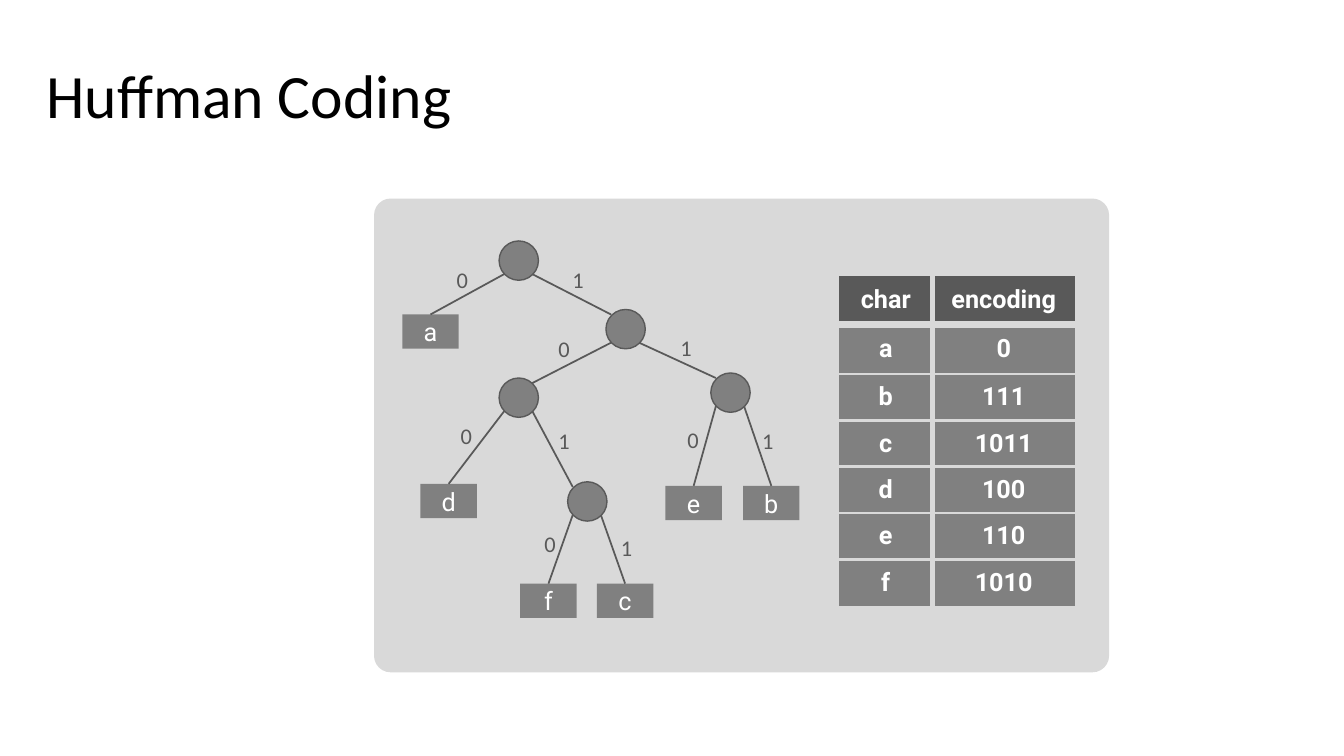
from lxml.etree import SubElement
from pptx import Presentation
from pptx.dml.color import RGBColor
from pptx.enum.shapes import MSO_CONNECTOR, MSO_SHAPE
from pptx.enum.text import MSO_ANCHOR, MSO_AUTO_SIZE, PP_ALIGN
from pptx.oxml.ns import qn
from pptx.util import Emu, Pt

EMU_PER_PX = 9144
COLOURS = {"panel": "D9D9D9", "node": "808080", "dark": "595959",
           "light": "FFFFFF", "title": "000000"}
FORMATS = {
    "title": {"name": "Calibri", "size": Pt(44), "bold": False},
    "table": {"name": "Roboto", "size": Pt(18), "bold": True},
    "leaf": {"name": "Roboto", "size": Pt(18), "bold": False},
    "bit": {"name": "Calibri", "size": Pt(16), "bold": False},
}
FRAME = {"word_wrap": True, "auto_size": MSO_AUTO_SIZE.NONE}

NODE_SIZE, CORNER = 39, 14
LEAF_WIDTH, LEAF_HEIGHT = 56, 34
INNER_NODES = {"root": (514, 258), "1": (620, 326), "10": (514, 394),
               "11": (724, 389), "101": (582, 497)}
LEAVES = {"a": (427, 312), "d": (445, 480), "f": (544, 579),
          "e": (688, 482), "b": (765, 482), "c": (620, 579)}
BRANCHES = [
    ("root", "0", "a", (443, 259)), ("root", "1", "1", (558, 259)),
    ("1", "0", "10", (544, 328)), ("1", "1", "11", (665, 327)),
    ("10", "0", "d", (447, 414)), ("10", "1", "101", (544, 419)),
    ("11", "0", "e", (672, 418)), ("11", "1", "b", (746, 419)),
    ("101", "0", "f", (530, 521)), ("101", "1", "c", (606, 525)),
]
ENCODINGS = [("char", "encoding"), ("a", "0"), ("b", "111"), ("c", "1011"),
             ("d", "100"), ("e", "110"), ("f", "1010")]
COLUMN_WIDTHS = [93, 141]
ROW_HEIGHTS = [48, 49] + [46] * 5
COLUMN_GAP, HEADER_GAP, ROW_GAP = 5, 7, 3


def px(*lengths):
    return [Emu(length * EMU_PER_PX) for length in lengths]


def colour(key):
    return RGBColor.from_string(COLOURS[key])


class TreeSlide:
    def __init__(self, deck):
        self.slide = deck.slides.add_slide(deck.slide_layouts[5])
        self.shapes = self.slide.shapes

    def label(self, frame, text, style, ink, align=PP_ALIGN.CENTER):
        frame.text = text
        paragraph = frame.paragraphs[0]
        paragraph.alignment = align
        font = paragraph.runs[0].font
        for attribute, value in FORMATS[style].items():
            setattr(font, attribute, value)
        font.color.rgb = colour(ink)
        return paragraph

    def title(self, text, *box):
        heading = self.shapes.title
        for attribute, value in zip(("left", "top", "width", "height"), px(*box)):
            setattr(heading, attribute, value)
        paragraph = self.label(heading.text_frame, text, "title", "title", PP_ALIGN.LEFT)
        paragraph.line_spacing = 0.9
        for attribute, value in FRAME.items():
            setattr(heading.text_frame, attribute, value)
        heading.text_frame.vertical_anchor = MSO_ANCHOR.MIDDLE

    def block(self, preset, box, fill, outline=None):
        block = self.shapes.add_shape(preset, *px(*box))
        block.shadow.inherit = False
        block.fill.solid()
        block.fill.fore_color.rgb = colour(fill)
        if outline:
            block.line.color.rgb = colour(outline)
            block.line.width = Pt(1)
        else:
            block.line.fill.background()
        return block

    def node(self, x, y):
        half = NODE_SIZE // 2
        self.block(MSO_SHAPE.OVAL, (x - half, y - half, NODE_SIZE, NODE_SIZE),
                   "node", "dark")

    def leaf(self, text, x, y):
        leaf = self.block(MSO_SHAPE.RECTANGLE,
                          (x - LEAF_WIDTH // 2, y, LEAF_WIDTH, LEAF_HEIGHT), "node")
        leaf.text_frame.vertical_anchor = MSO_ANCHOR.MIDDLE
        self.label(leaf.text_frame, text, "leaf", "light")

    def branch(self, parent, bit, child):
        side = CORNER if bit == "1" else -CORNER
        x, y = INNER_NODES[parent]
        if child in LEAVES:
            end = LEAVES[child]
        else:
            child_x, child_y = INNER_NODES[child]
            end = child_x - side, child_y - CORNER
        line = self.shapes.add_connector(
            MSO_CONNECTOR.STRAIGHT, *px(x + side, y + CORNER, *end))
        line.line.color.rgb = colour("dark")
        line.line.width = Pt(1.25)
        SubElement(line._element.spPr, qn("a:effectLst"))

    def bit(self, text, x, y):
        frame = self.shapes.add_textbox(*px(x, y, 33, 37)).text_frame
        for attribute, value in FRAME.items():
            setattr(frame, attribute, value)
        self.label(frame, text, "bit", "dark", PP_ALIGN.LEFT)

    def borders(self, cell, gaps):
        properties = cell._tc.get_or_add_tcPr()
        for position, (edge, gap) in enumerate(gaps.items()):
            border = SubElement(properties, qn(f"a:{edge}"), w=str(gap * EMU_PER_PX))
            if gap:
                fill = SubElement(border, qn("a:solidFill"))
                SubElement(fill, qn("a:srgbClr"), val=COLOURS["panel"])
            else:
                SubElement(border, qn("a:noFill"))
            properties.insert(position, border)

    def table(self, rows, left, top):
        size = sum(COLUMN_WIDTHS), sum(ROW_HEIGHTS)
        table = self.shapes.add_table(
            len(rows), len(COLUMN_WIDTHS), *px(left, top, *size)).table
        table.first_row = table.horz_banding = False
        for column, width in zip(table.columns, px(*COLUMN_WIDTHS)):
            column.width = width
        for row, height in zip(table.rows, px(*ROW_HEIGHTS)):
            row.height = height
        row_gaps = [0, HEADER_GAP] + [ROW_GAP] * (len(rows) - 2) + [0]
        column_gaps = [0, COLUMN_GAP, 0]
        for r, values in enumerate(rows):
            for c, value in enumerate(values):
                cell = table.cell(r, c)
                cell.margin_top = cell.margin_bottom = 0
                cell.vertical_anchor = MSO_ANCHOR.MIDDLE
                cell.fill.solid()
                cell.fill.fore_color.rgb = colour("node" if r else "dark")
                self.label(cell.text_frame, value, "table", "light")
                self.borders(cell, {"lnL": column_gaps[c], "lnR": column_gaps[c + 1],
                                    "lnT": row_gaps[r], "lnB": row_gaps[r + 1]})


def main():
    deck = Presentation()
    deck.slide_width, deck.slide_height = px(1333, 750)
    huffman = TreeSlide(deck)
    huffman.title("Huffman Coding", 36, 25, 1150, 145)
    panel = huffman.block(MSO_SHAPE.ROUNDED_RECTANGLE, (371, 197, 729, 470), "panel")
    panel.adjustments[0] = 0.035
    huffman.table(ENCODINGS, 832, 274)
    for centre in INNER_NODES.values():
        huffman.node(*centre)
    for character, top_centre in LEAVES.items():
        huffman.leaf(character, *top_centre)
    for parent, bit, child, place in BRANCHES:
        huffman.branch(parent, bit, child)
        huffman.bit(bit, *place)
    deck.save("out.pptx")


if __name__ == "__main__":
    main()
